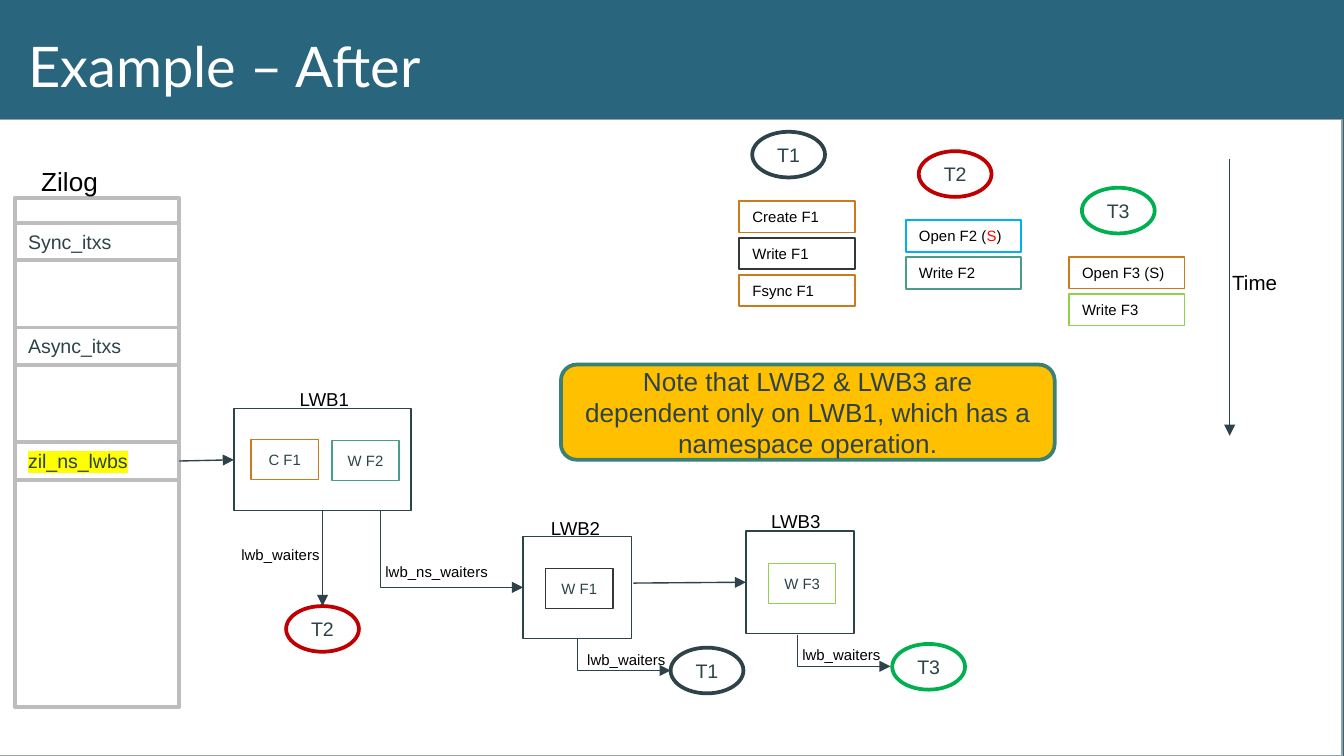
from lxml import etree
from pptx import Presentation
from pptx.dml.color import RGBColor
from pptx.enum.shapes import MSO_CONNECTOR as CONN, MSO_SHAPE as SHAPE
from pptx.enum.text import MSO_ANCHOR as ANCHOR, PP_ALIGN as ALIGN
from pptx.oxml.ns import qn
from pptx.util import Pt

C = {"teal": "29667E", "white": "FFFFFF", "black": "000000", "ink": "2D4349",
     "frame": "96A1A4", "gray": "BDBDBD", "orange": "CA7C1C", "dark": "32373A",
     "blue": "00B0F0", "sea": "489D8B", "lime": "92D050", "red": "C00000",
     "green": "00B050", "bright": "FF0000", "yellow": "FFFF00",
     "amber": "FFC000", "pine": "3A8074"}
C = {name: RGBColor.from_string(value) for name, value in C.items()}

prs = Presentation()
prs.slide_width, prs.slide_height = Pt(720), Pt(405)
s = prs.slides.add_slide(prs.slide_layouts[5])
s.background.fill.solid()
s.background.fill.fore_color.rgb = C["teal"]


def add_box(kind, x, y, w, h, line=None, weight=0.75, fill=None, runs=(),
            size=8, color="black", centered=False, wrap=True):
    frame = [Pt(v) for v in (x, y, w, h)]
    if kind is None:
        sp = s.shapes.add_textbox(*frame)
    else:
        sp = s.shapes.add_shape(kind, *frame)
        sp.shadow.inherit = False
        sp.line.color.rgb, sp.line.width = C[line], Pt(weight)
        if fill:
            sp.fill.solid()
            sp.fill.fore_color.rgb = C[fill]
        else:
            sp.fill.background()
    tf = sp.text_frame
    tf.word_wrap = wrap
    tf.vertical_anchor = ANCHOR.MIDDLE if centered else ANCHOR.TOP
    p = tf.paragraphs[0]
    p.alignment = ALIGN.CENTER if centered else ALIGN.LEFT
    for text, tint in [(runs, color)] if isinstance(runs, str) else runs:
        r = p.add_run()
        r.text = text
        for name, value in {"name": "Arial", "size": Pt(size)}.items():
            setattr(r.font, name, value)
        r.font.color.rgb = C[tint]
    return sp


def add_arrow(kind, x1, y1, x2, y2, bend=None):
    cx = s.shapes.add_connector(kind, Pt(x1), Pt(y1), Pt(x2), Pt(y2))
    cx.line.color.rgb, cx.line.width = C["ink"], Pt(0.75)
    etree.SubElement(cx.line._get_or_add_ln(), qn("a:tailEnd"), type="triangle")
    sp_pr = cx._element.spPr
    etree.SubElement(sp_pr, qn("a:effectLst"))
    if bend is not None:
        geom = sp_pr.find(qn("a:prstGeom"))
        av = geom.find(qn("a:avLst"))
        if av is None:
            av = etree.SubElement(geom, qn("a:avLst"))
        etree.SubElement(av, qn("a:gd"), name="adj1", fmla=f"val {bend}")
    return cx


add_box(SHAPE.RECTANGLE, -6, 64, 725, 341, "frame", fill="white")

title = s.shapes.title
title.left, title.top, title.width, title.height = Pt(8), Pt(9.5), Pt(472), Pt(45)
tf = title.text_frame
for name, value in {"margin_left": Pt(7.2), "margin_right": Pt(7.2),
                    "margin_top": Pt(7.2), "margin_bottom": Pt(7.2),
                    "vertical_anchor": ANCHOR.TOP, "word_wrap": True}.items():
    setattr(tf, name, value)
p = tf.paragraphs[0]
p.alignment = ALIGN.LEFT
r = p.add_run()
r.text = "Example – After"
r.font.name, r.font.size, r.font.color.rgb = "Lato", Pt(30), C["white"]

add_box(SHAPE.RECTANGLE, 8, 106, 88, 273, "gray", 2, "white")
for y, text in [(119.5, "Sync_itxs"), (175.5, "Async_itxs"), (237, "zil_ns_lwbs")]:
    row = add_box(SHAPE.RECTANGLE, 8, y, 88, 20, "gray", 2, "white", text, 10.5, "ink")
r_pr = row.text_frame.paragraphs[0].runs[0].font._element
highlight = etree.Element(qn("a:highlight"))
etree.SubElement(highlight, qn("a:srgbClr"), val=str(C["yellow"]))
r_pr.find(qn("a:solidFill")).addnext(highlight)
add_box(None, 15, 85, 73, 24, runs="Zilog", size=14)

open_f2 = [("Open F2 (", "black"), ("S", "bright"), (")", "black")]
columns = [
    (396, 107.6, [("Create F1", "orange"), ("Write F1", "dark"), ("Fsync F1", "orange")]),
    (485.2, 118, [(open_f2, "blue"), ("Write F2", "sea")]),
    (572.6, 137.6, [("Open F3 (S)", "orange"), ("Write F3", "lime")]),
]
threads = []
for (x, y, steps), name, color in zip(columns, ("T1", "T2", "T3"), ("ink", "red", "green")):
    threads.append((x + 7, y - 37, name, color))
    for i, (text, line) in enumerate(steps):
        add_box(SHAPE.RECTANGLE, x, y + 19.8 * i, 62, 17, line, 1, runs=text)
threads += [(359.3, 347, "T1", "ink"), (478, 345, "T3", "green"), (153.3, 324.7, "T2", "red")]
for x, y, name, color in threads:
    thread = add_box(SHAPE.OVAL, x, y, 39, 24.5, color, 2, "white", name, 10.5, "ink",
                     centered=True, wrap=False)

add_arrow(CONN.STRAIGHT, 658.8, 85, 658.8, 233.5)
add_box(None, 653, 141, 46, 21, runs="Time", size=11)

lwbs = [
    ("LWB1", 125.3, 219, 95, 153.4, 204.5, [(9.3, 16.5, "C F1", "orange"), (52.6, 17.1, "W F2", "sea")]),
    ("LWB2", 280.2, 287.4, 58, 288, 273.5, [(12.2, 17.3, "W F1", "dark")]),
    ("LWB3", 399.6, 284.6, 58, 406, 269.5, [(12.2, 17.3, "W F3", "lime")]),
]
blocks = {}
for name, x, y, w, label_x, label_y, writes in lwbs:
    blocks[name] = add_box(SHAPE.RECTANGLE, x, y, w, 54.7, "ink", fill="white")
    add_box(None, label_x, label_y, 46, 19.5, runs=name, size=10)
    for dx, dy, text, line in writes:
        add_box(SHAPE.RECTANGLE, x + dx, y + dy, 36, 21.5, line, 0.75, "white", text,
                color="ink", centered=True, wrap=False)

cx = add_arrow(CONN.STRAIGHT, 96, 247, 125.3, 246.3)
cx.begin_connect(row, 3)
cx.end_connect(blocks["LWB1"], 1)
cx = add_arrow(CONN.STRAIGHT, 172.8, 273.7, 172.8, 324.7)
cx.begin_connect(blocks["LWB1"], 2)
cx.end_connect(thread, 0)
cx = add_arrow(CONN.STRAIGHT, 339.3, 312.4, 399.6, 312)
cx.end_connect(blocks["LWB3"], 1)
for x1, y1, x2, y2 in [(203.8, 273.7, 280.2, 314.7), (309.4, 342.1, 359.3, 359.2),
                       (427.2, 340, 477, 357)]:
    add_arrow(CONN.ELBOW, x1, y1, x2, y2, bend=0)

for x, y, text in [(122.2, 288.7, "lwb_waiters"), (307.5, 345, "lwb_waiters"),
                   (422.7, 342.2, "lwb_waiters"), (199.4, 298, "lwb_ns_waiters")]:
    add_box(None, x, y, 70, 17, runs=text)

add_box(SHAPE.ROUNDED_RECTANGLE, 300.5, 195.3, 264.5, 51, "pine", 2, "amber",
        "Note that LWB2 & LWB3 are dependent only on LWB1, which has a namespace operation.",
        14, "ink", centered=True)

prs.save("out.pptx")
